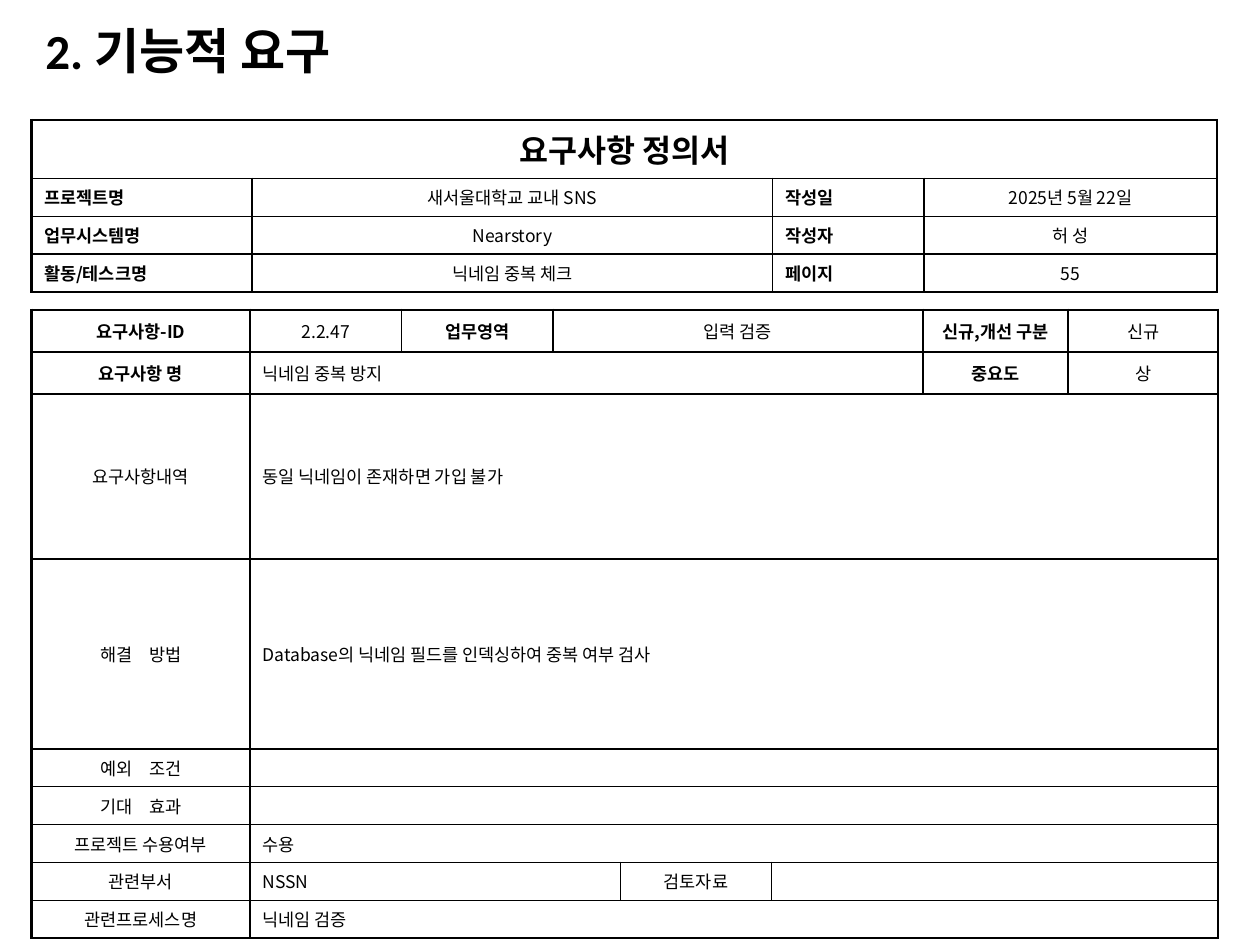
from pptx import Presentation
from pptx.dml.color import RGBColor
from pptx.enum.text import MSO_ANCHOR, PP_ALIGN
from pptx.oxml.ns import qn
from pptx.util import Pt
from lxml import etree

BLACK = RGBColor(0x00, 0x00, 0x00)
CENTER, LEFT, JUSTIFY = PP_ALIGN.CENTER, PP_ALIGN.LEFT, PP_ALIGN.JUSTIFY
MIDDLE, TOP = MSO_ANCHOR.MIDDLE, MSO_ANCHOR.TOP
FONT = "Noto Sans CJK KR"
TITLE_FONT = "Calibri"
THIN, THICK = 1, 1.5

# Cell styles: alignment, bold, size
HEADING = (CENTER, True, 18)
FIELD = (JUSTIFY, True, 10)
LABEL = (CENTER, True, 10)
CENTERED = (CENTER, False, 10)
TEXT = (LEFT, False, 10)


def set_borders(cell, widths):
    properties = cell._tc.get_or_add_tcPr()
    for side in ("L", "R", "T", "B"):
        if side in widths:
            line = etree.SubElement(properties, qn(f"a:ln{side}"), w=str(Pt(widths[side])))
            fill = etree.SubElement(line, qn("a:solidFill"))
            etree.SubElement(fill, qn("a:srgbClr"), val=str(BLACK))


def add_form(slide, left, top, columns, heights, rows, thick_rows, anchors):
    """Add a bordered form; each row lists (text, column span, style) cells."""
    frame = slide.shapes.add_table(len(heights), len(columns), Pt(left), Pt(top),
                                   Pt(sum(columns)), Pt(sum(heights)))
    table = frame.table
    table.first_row = table.horz_banding = False
    for column, width in zip(table.columns, columns):
        column.width = Pt(width)
    last_row, last_column = len(heights) - 1, len(columns) - 1
    for row_index, cells in enumerate(rows):
        table.rows[row_index].height = Pt(heights[row_index])
        start = 0
        for text, span, (alignment, bold, size) in cells:
            end = start + span - 1
            cell = table.cell(row_index, start)
            if span > 1:
                cell.merge(table.cell(row_index, end))
            cell.vertical_anchor = anchors[row_index]
            paragraph = cell.text_frame.paragraphs[0]
            paragraph.text = text
            paragraph.alignment = alignment
            paragraph.space_before = Pt(size * 0.2)
            for run in paragraph.runs:
                run.font.name = FONT
                run.font.size = Pt(size)
                run.font.bold = bold
                run.font.color.rgb = BLACK
            if not text:
                etree.SubElement(paragraph._p, qn("a:endParaRPr"), sz=str(size * 100))

            widths = {
                "T": THICK if row_index == 0 or row_index - 1 in thick_rows else THIN,
                "B": THICK if row_index == last_row or row_index in thick_rows else THIN,
            }
            for column_index in range(start, end + 1):
                sides = dict(widths)
                if column_index == start:
                    sides["L"] = THICK if start == 0 else THIN
                if column_index in (start, end):
                    sides["R"] = THICK if end == last_column else THIN
                part = table.cell(row_index, column_index)
                set_borders(part, sides)
                part.fill.background()
            start = end + 1


presentation = Presentation()
presentation.slide_width, presentation.slide_height = Pt(720), Pt(540)
slide = presentation.slides.add_slide(presentation.slide_layouts[5])

title = slide.shapes.title
title.left, title.top, title.width, title.height = Pt(18.7), Pt(15), Pt(386), Pt(31.7)
title.text_frame.text = "2. 기능적 요구"
title.text_frame.vertical_anchor = MIDDLE
paragraph = title.text_frame.paragraphs[0]
paragraph.alignment = LEFT
paragraph.line_spacing = 0.9
font = paragraph.runs[0].font
font.name, font.size, font.bold = TITLE_FONT, Pt(28), True
font.color.rgb = BLACK

requirement_rows = [
    [("요구사항-ID", 1, LABEL), ("2.2.47", 1, CENTERED), ("업무영역", 1, LABEL),
     ("입력 검증", 3, CENTERED), ("신규,개선 구분", 1, LABEL), ("신규", 1, CENTERED)],
    [("요구사항 명", 1, LABEL), ("닉네임 중복 방지", 5, TEXT),
     ("중요도", 1, LABEL), ("상", 1, CENTERED)],
    [("요구사항내역", 1, CENTERED), ("동일 닉네임이 존재하면 가입 불가", 7, TEXT)],
    [("해결　방법", 1, CENTERED),
     ("Database의 닉네임 필드를 인덱싱하여 중복 여부 검사", 7, TEXT)],
    [("예외　조건", 1, CENTERED), ("", 7, TEXT)],
    [("기대　효과", 1, CENTERED), ("", 7, TEXT)],
    [("프로젝트 수용여부", 1, CENTERED), ("수용", 7, TEXT)],
    [("관련부서", 1, CENTERED), ("NSSN", 3, TEXT), ("검토자료", 1, CENTERED), ("", 3, TEXT)],
    [("관련프로세스명", 1, CENTERED), ("닉네임 검증", 7, TEXT)],
]
add_form(slide, 18, 177, [125, 86.5, 86.5, 38.5, 86.5, 86.5, 83, 85.5],
         [24, 24, 94.5, 108.5] + [21.5] * 5, requirement_rows,
         thick_rows=(0, 1), anchors=[MIDDLE] * 9)

document_rows = [[("요구사항 정의서", 4, HEADING)]]
for name, value, field, entry in [
    ("프로젝트명", "새서울대학교 교내 SNS", "작성일", "2025년 5월 22일"),
    ("업무시스템명", "Nearstory", "작성자", "허 성"),
    ("활동/테스크명", "닉네임 중복 체크", "페이지", "55"),
]:
    document_rows.append([(name, 1, FIELD), (value, 1, CENTERED),
                          (field, 1, FIELD), (entry, 1, CENTERED)])
add_form(slide, 18, 68.5, [126, 297.5, 86.5, 167.5], [33.5] + [21.5] * 3,
         document_rows, thick_rows=(), anchors=[MIDDLE] + [TOP] * 3)

presentation.save("out.pptx")
